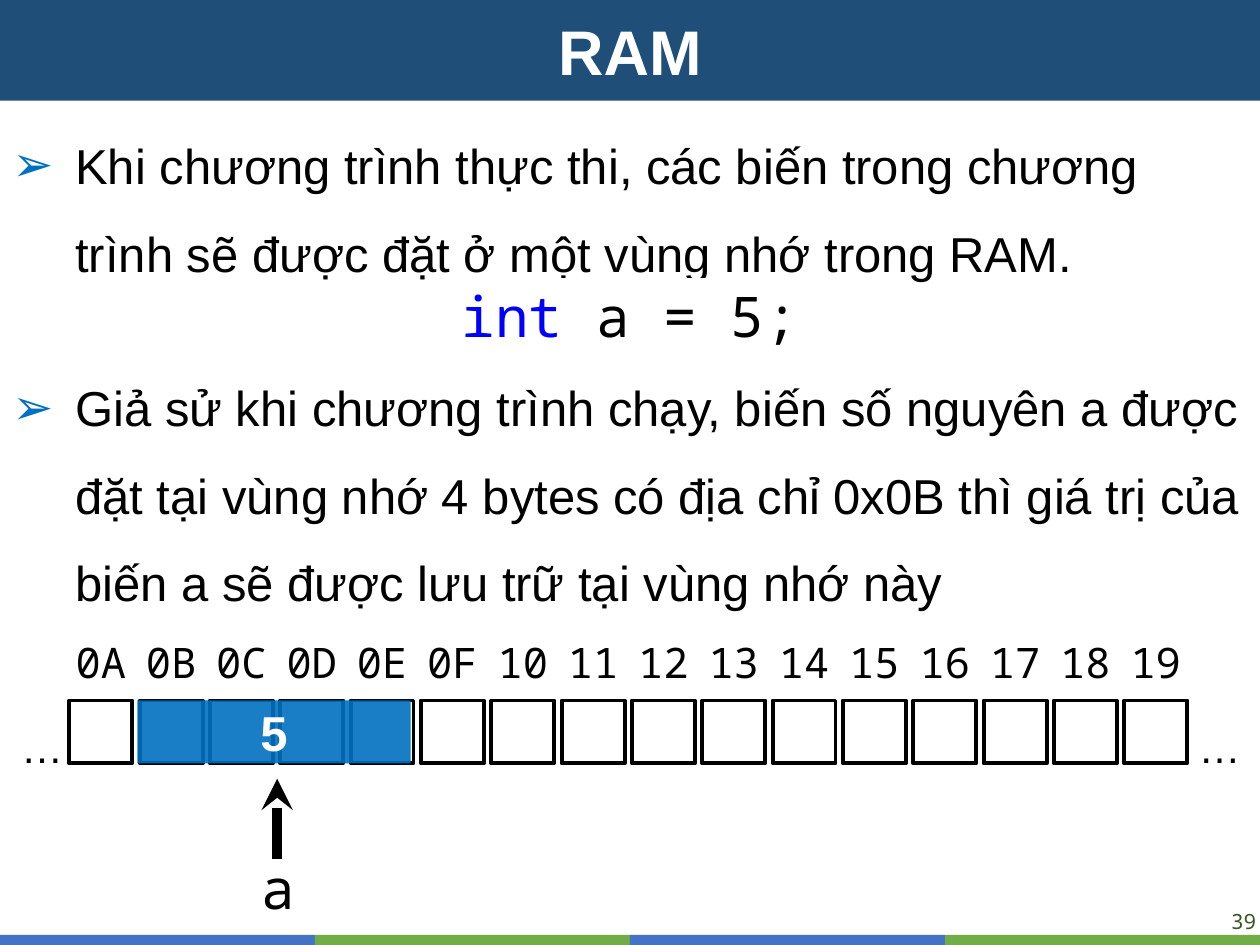
from dataclasses import dataclass

from lxml.etree import SubElement
from pptx import Presentation
from pptx.dml.color import RGBColor
from pptx.enum.shapes import MSO_CONNECTOR, MSO_SHAPE
from pptx.enum.text import MSO_ANCHOR, PP_ALIGN
from pptx.oxml.ns import qn
from pptx.util import Pt


@dataclass(frozen=True)
class Theme:
    banner: str = "1F4E79"
    accent: str = "0070C0"
    keyword: str = "0000FF"
    stripes: tuple = ("4472C4", "70AD47")
    page_number: str = "385723"
    black: str = "000000"
    white: str = "FFFFFF"
    sans: str = "Arial"
    mono: str = "Noto Sans Mono"
    title_size: int = 36
    code_size: int = 32
    body_size: int = 28
    label_size: int = 24
    number_size: int = 12


THEME = Theme()
WIDTH, HEIGHT = 720, 540
BULLETS = (
    "Khi chương trình thực thi, các biến trong chương trình sẽ được đặt ở một vùng nhớ trong RAM.",
    "Giả sử khi chương trình chạy, biến số nguyên a được đặt tại vùng nhớ 4 bytes "
    "có địa chỉ 0x0B thì giá trị của biến a sẽ được lưu trữ tại vùng nhớ này",
)
FIRST_ADDRESS, CELL_COUNT = 0x0A, 16
CELL_SIZE, CELL_PITCH = 36, 40.19


def style_run(run, size, font, color, bold=False):
    run.font.size = Pt(size)
    run.font.name = font
    run.font.bold = bold
    run.font.color.rgb = RGBColor.from_string(color)


def write(shape, text, size, font, color, align=PP_ALIGN.CENTER, bold=False):
    shape.text_frame.text = text
    paragraph = shape.text_frame.paragraphs[0]
    paragraph.alignment = align
    style_run(paragraph.runs[0], size, font, color, bold)


def add_rectangle(slide, left, top, width, height, fill=None, line=None):
    shape = slide.shapes.add_shape(
        MSO_SHAPE.RECTANGLE, Pt(left), Pt(top), Pt(width), Pt(height))
    shape.shadow.inherit = False
    if fill:
        shape.fill.solid()
        shape.fill.fore_color.rgb = RGBColor.from_string(fill)
    else:
        shape.fill.background()
    if line:
        shape.line.color.rgb = RGBColor.from_string(line)
        shape.line.width = Pt(2.25)
    else:
        shape.line.fill.background()
    return shape


def add_text_box(slide, left, top, width, height, margins=(7.2, 3.6), anchor=MSO_ANCHOR.TOP):
    box = slide.shapes.add_textbox(Pt(left), Pt(top), Pt(width), Pt(height))
    frame = box.text_frame
    frame.word_wrap = True
    frame.vertical_anchor = anchor
    frame.margin_left = frame.margin_right = Pt(margins[0])
    frame.margin_top = frame.margin_bottom = Pt(margins[1])
    return box


def add_bullet(paragraph, text):
    properties = paragraph._p.get_or_add_pPr()
    properties.set("marL", str(Pt(36)))
    properties.set("indent", str(-Pt(36)))
    paragraph.line_spacing = Pt(50)
    bullet_color = SubElement(properties, qn("a:buClr"))
    SubElement(bullet_color, qn("a:srgbClr"), val=THEME.accent)
    SubElement(properties, qn("a:buFont"), typeface=THEME.sans)
    SubElement(properties, qn("a:buChar"), char="➢")
    paragraph.text = text
    style_run(paragraph.runs[0], THEME.body_size, THEME.sans, THEME.black)


def add_code_line(paragraph):
    paragraph.alignment = PP_ALIGN.CENTER
    for text, color in (("int", THEME.keyword), (" a = 5;", THEME.black)):
        run = paragraph.add_run()
        run.text = text
        style_run(run, THEME.code_size, THEME.mono, color)
        # The highlight belongs between the fill and the typeface
        properties = run._r.get_or_add_rPr()
        highlight = SubElement(properties, qn("a:highlight"))
        SubElement(highlight, qn("a:srgbClr"), val=THEME.white)
        properties.find(qn("a:latin")).addprevious(highlight)


def add_footer(slide, left, top, width, height):
    stripe_width = width / 4
    for index in range(4):
        add_rectangle(slide, left + index * stripe_width, top, stripe_width, height,
                      THEME.stripes[index % 2])
    number = add_text_box(slide, left + width - 94.3, top - 15, 94.3, 14.4, margins=(2.16, 0))
    write(number, "39", THEME.number_size, THEME.mono, THEME.page_number, PP_ALIGN.RIGHT)


def add_body(slide, left, top, width, height):
    frame = add_text_box(slide, left, top, width, height).text_frame
    add_bullet(frame.paragraphs[0], BULLETS[0])
    add_code_line(frame.add_paragraph())
    add_bullet(frame.add_paragraph(), BULLETS[1])


def add_banner(slide, left, top, width, height):
    banner = add_rectangle(slide, left, top, width, height, THEME.banner)
    write(banner, "RAM", THEME.title_size, THEME.sans, THEME.white, bold=True)


def add_memory(slide, left, top):
    cells_top = top + 40.3
    # Cells and their addresses
    for index in range(CELL_COUNT):
        cell_left = left + index * CELL_PITCH
        add_rectangle(slide, cell_left, cells_top, CELL_SIZE, CELL_SIZE, line=THEME.black)
        label = add_text_box(slide, cell_left, top, CELL_SIZE, CELL_SIZE, (0, 0), MSO_ANCHOR.MIDDLE)
        write(label, f"{FIRST_ADDRESS + index:02X}", THEME.label_size, THEME.mono, THEME.black)

    # Memory continues on both sides
    for dots_left in (left - 34.6, left + 638.2):
        dots = add_text_box(slide, dots_left, top + 49, 32.5, 36)
        write(dots, "…", THEME.label_size, THEME.sans, THEME.black)

    # Four bytes holding the value
    value = add_rectangle(slide, left + 38.9, cells_top, 156.2, CELL_SIZE, THEME.accent)
    color = value.fill._xPr.find(qn("a:solidFill")).find(qn("a:srgbClr"))
    SubElement(color, qn("a:alpha"), val="90000")
    write(value, "5", THEME.body_size, THEME.sans, THEME.white, bold=True)


def add_variable_pointer(slide, left, top):
    center = left + 15.8
    arrow = slide.shapes.add_connector(
        MSO_CONNECTOR.STRAIGHT, Pt(center), Pt(top + 46), Pt(center), Pt(top))
    arrow.line.color.rgb = RGBColor.from_string(THEME.black)
    arrow.line.width = Pt(6)
    SubElement(arrow.line._get_or_add_ln(), qn("a:tailEnd"), type="stealth")
    SubElement(arrow._element.spPr, qn("a:effectLst"))
    name = add_text_box(slide, left, top + 38.9, 33.1, 46)
    write(name, "a", THEME.code_size, THEME.mono, THEME.black)


def main():
    presentation = Presentation()
    presentation.slide_width, presentation.slide_height = Pt(WIDTH), Pt(HEIGHT)
    slide = presentation.slides.add_slide(presentation.slide_layouts[6])
    add_footer(slide, 0, 534.2, WIDTH, 5.8)
    add_body(slide, 0, 57.6, WIDTH, 482.4)
    add_banner(slide, 0, 0, WIDTH, 57.6)
    add_memory(slide, 39.6, 360)
    add_variable_pointer(slide, 142.6, 445)
    presentation.save("out.pptx")


if __name__ == "__main__":
    main()
